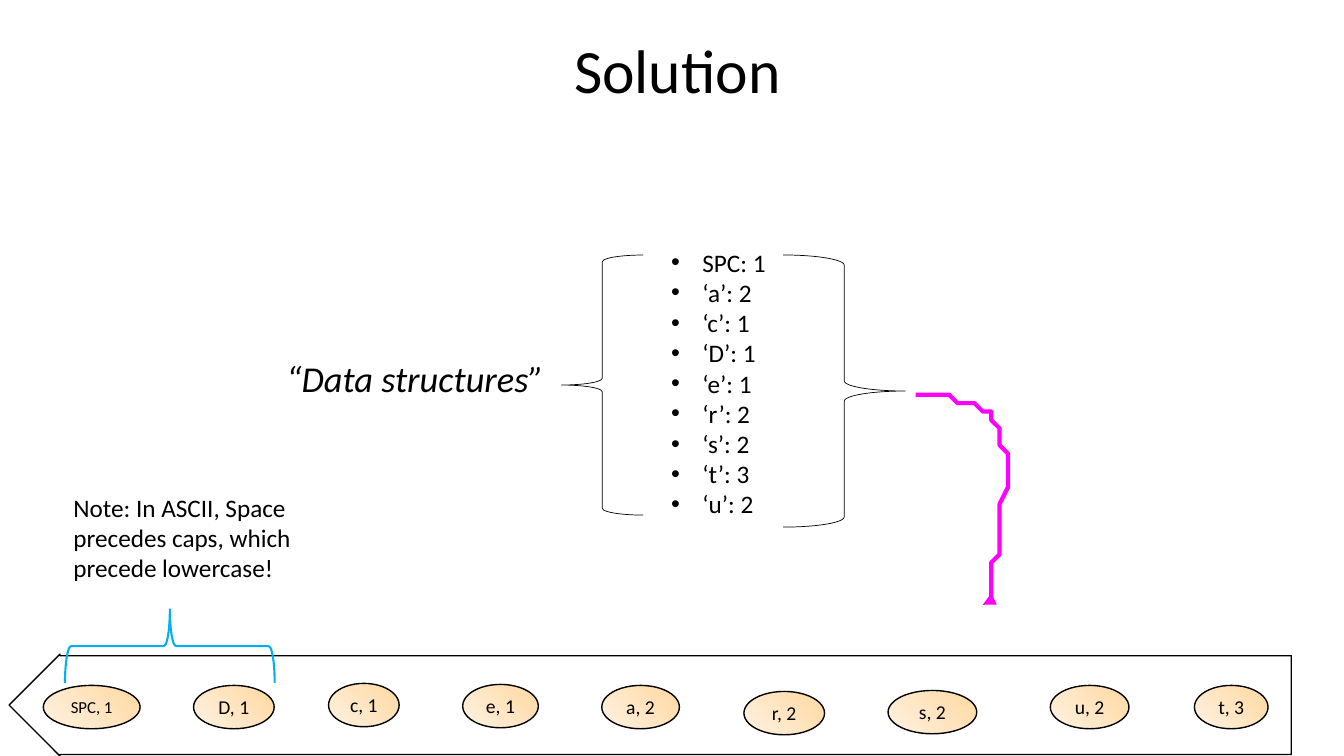
import lxml.etree
import pptx
import pptx.dml.color
import pptx.enum.shapes
import pptx.enum.text
import pptx.oxml.ns
import pptx.util

RGBColor = pptx.dml.color.RGBColor
Shape = pptx.enum.shapes.MSO_SHAPE
Align = pptx.enum.text.PP_ALIGN
Anchor = pptx.enum.text.MSO_ANCHOR

BLACK = RGBColor(0x00, 0x00, 0x00)
PEACH = RGBColor(0xFF, 0xD8, 0xA0)
CREAM = RGBColor(0xFF, 0xF2, 0xE3)
MAGENTA = RGBColor(0xFF, 0x00, 0xFF)
SKY = RGBColor(0x00, 0xB0, 0xF0)

COLUMNS, ROWS = 160, 90
PILL_HEIGHT = 5.16
QUEUE = [
    ("SPC, 1", 5.16, 81.6, 11.52, 12),
    ("D, 1", 23.04, 81.6, 9.6, 14),
    ("c, 1", 39.12, 81.36, 8.4, 14),
    ("e, 1", 55.08, 81.48, 9, 14),
    ("a, 2", 71.64, 81.6, 9.24, 14),
    ("r, 2", 88.56, 82.32, 9.6, 14),
    ("s, 2", 105.72, 82.2, 10.56, 14),
    ("u, 2", 125.04, 81.6, 9.36, 14),
    ("t, 3", 142.2, 81.6, 8.76, 14),
]
COUNTS = ["SPC: 1", "‘a’: 2", "‘c’: 1", "‘D’: 1", "‘e’: 1",
          "‘r’: 2", "‘s’: 2", "‘t’: 3", "‘u’: 2"]
CURVE = [(109.08, 46.56), (113.4, 47.28), (117.6, 48), (119.16, 51.6),
         (120.6, 55.08), (118.68, 64.32), (118.32, 67.8),
         (118.08, 71.16), (117.72, 71.52), (117.48, 71.88)]


def bezier(controls, steps=12):
    """Return points along one cubic curve, without its start."""
    points = []
    for step in range(1, steps + 1):
        t = step / steps
        weights = ((1 - t) ** 3, 3 * t * (1 - t) ** 2, 3 * t * t * (1 - t), t ** 3)
        points.append(tuple(sum(weight * control[axis] for weight, control in zip(weights, controls))
                            for axis in (0, 1)))
    return points


class SlideBuilder:
    """Draw styled elements on one slide, measured in grid cells."""

    def __init__(self, deck):
        self.page = deck.slides.add_slide(deck.slide_layouts[6])
        self.cell_width = deck.slide_width / COLUMNS
        self.cell_height = deck.slide_height / ROWS
        self.font = "Calibri"

    def place(self, left, top, width, height):
        return (round(left * self.cell_width), round(top * self.cell_height),
                round(width * self.cell_width), round(height * self.cell_height))

    def fill_text(self, shape, lines, size, align=Align.LEFT, wrap=True, italic=None):
        shape.text_frame.word_wrap = wrap
        shape.text_frame.text = "\n".join(lines)
        for para in shape.text_frame.paragraphs:
            para.alignment = align
            para.font.name = self.font
            para.font.size = pptx.util.Pt(size)
            para.font.italic = italic
            para.font.color.rgb = BLACK
        return shape.text_frame

    def text(self, area, lines, size, **style):
        box = self.page.shapes.add_textbox(*self.place(*area))
        return self.fill_text(box, lines, size, **style)

    def bullets(self, area, lines, size):
        indent = pptx.util.Inches(0.31)
        for para in self.text(area, lines, size).paragraphs:
            properties = para._p.get_or_add_pPr()
            properties.set("marL", str(int(indent)))
            properties.set("indent", str(-int(indent)))
            for tag, name, value in (("a:buFont", "typeface", "Arial"), ("a:buChar", "char", "•")):
                mark = lxml.etree.Element(pptx.oxml.ns.qn(tag))
                mark.set(name, value)
                properties.find(pptx.oxml.ns.qn("a:defRPr")).addprevious(mark)

    def outline(self, shape, color, weight):
        shape.shadow.inherit = False
        shape.fill.background()
        shape.line.color.rgb = color
        shape.line.width = pptx.util.Pt(weight)
        return shape

    def shape(self, kind, area, color=BLACK, weight=1.0):
        return self.outline(self.page.shapes.add_shape(kind, *self.place(*area)), color, weight)

    def pill(self, label, left, top, width, size):
        pill = self.shape(Shape.OVAL, (left, top, width, PILL_HEIGHT))
        pill.fill.gradient()
        pill.fill.gradient_angle = 225
        for stop, color, position in zip(pill.fill.gradient_stops, (PEACH, CREAM), (0, 1)):
            stop.color.rgb = color
            stop.position = position
        frame = self.fill_text(pill, [label], size, align=Align.CENTER, wrap=False)
        frame.vertical_anchor = Anchor.MIDDLE

    def curved_arrow(self, controls, color, weight):
        builder = self.page.shapes.build_freeform(
            *controls[0], scale=(self.cell_width, self.cell_height))
        for start in range(0, len(controls) - 1, 3):
            builder.add_line_segments(bezier(controls[start:start + 4]), close=False)
        arrow = self.outline(builder.convert_to_shape(), color, weight)
        line = arrow.line.fill._xPr
        tail = lxml.etree.SubElement(line, pptx.oxml.ns.qn("a:tailEnd"))
        tail.set("type", "triangle")


def main():
    deck = pptx.Presentation()
    deck.slide_width = pptx.util.Inches(13.33)
    deck.slide_height = pptx.util.Inches(7.5)
    slide = SlideBuilder(deck)

    title = slide.text((11.64, 0, 138, 17.4), ["Solution"], 44, align=Align.CENTER)
    title.vertical_anchor = Anchor.MIDDLE
    title.paragraphs[0].line_spacing = 0.9

    for entry in QUEUE:
        slide.pill(*entry)
    queue_arrow = slide.shape(Shape.LEFT_ARROW, (1.08, 77.88, 152.64, 12.12))
    queue_arrow.adjustments[0] = 0.97
    queue_arrow.adjustments[1] = 0.5

    slide.text((32.76, 41.76, 33.36, 6.48), ["“Data structures”"], 26,
               align=Align.CENTER, wrap=False, italic=True)
    slide.shape(Shape.LEFT_BRACE, (66.84, 30.36, 9.72, 30.96), weight=0.5)
    slide.bullets((78.72, 28.8, 38.76, 33.96), COUNTS, 18)
    slide.shape(Shape.RIGHT_BRACE, (93.24, 30.36, 14.52, 32.4), weight=0.5)
    slide.curved_arrow(CURVE, MAGENTA, 3)

    note_brace = slide.shape(Shape.LEFT_BRACE, (15.84, 64.44, 8.76, 24.96), SKY, 1.5)
    note_brace.rotation = 90
    slide.text((7.56, 57.96, 31.56, 12.12),
               ["Note: In ASCII, Space precedes caps, which precede lowercase!"], 18)
    deck.save("out.pptx")


if __name__ == "__main__":
    main()
